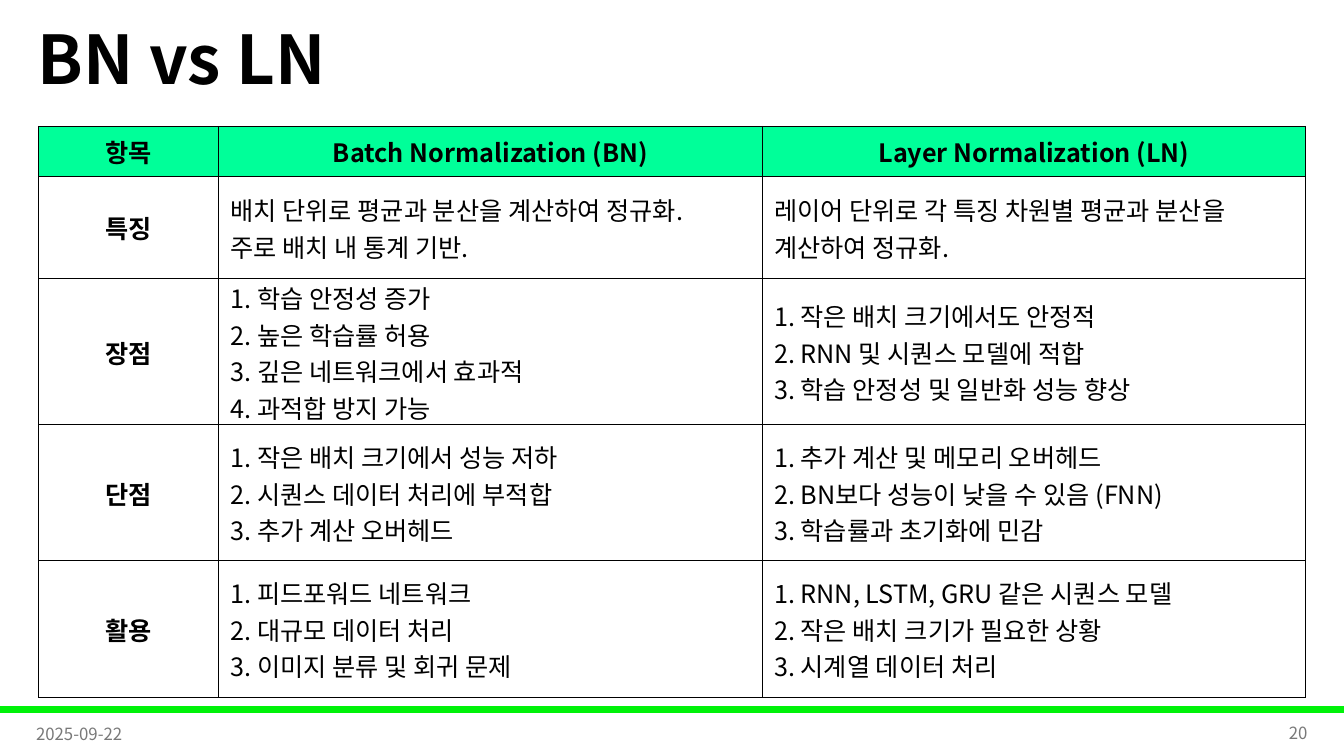
from dataclasses import dataclass

from lxml.etree import SubElement
from pptx import Presentation
from pptx.dml.color import RGBColor
from pptx.enum.shapes import MSO_SHAPE
from pptx.enum.text import MSO_ANCHOR, MSO_AUTO_SIZE, PP_ALIGN
from pptx.oxml.ns import qn
from pptx.slide import Slide
from pptx.table import _Cell
from pptx.text.text import TextFrame
from pptx.util import Cm, Pt

FONT = "Noto Sans CJK KR"
BLACK = "000000"
GREY = "797979"
HEADER_GREEN = "00FF99"
BAR_GREEN = "00F209"
COLUMN_WIDTHS = (4.54, 13.7, 13.69)
ROW_HEIGHTS = (1.26, 2.57, 3.69, 3.43, 3.43)


@dataclass(frozen=True)
class TextStyle:
    """Size, colour, weight, alignment and kerning threshold of a text."""
    size: float
    color: str = BLACK
    bold: bool = False
    align: PP_ALIGN = PP_ALIGN.LEFT
    kerning: int = 1200


@dataclass(frozen=True)
class FooterText:
    """A footer text with its place in centimetres."""
    text: str
    left: float
    top: float
    align: PP_ALIGN


@dataclass(frozen=True)
class ComparisonRow:
    """One table row; each tuple holds the lines of a cell."""
    item: str
    batch: tuple[str, ...]
    layer: tuple[str, ...]


TITLE_STYLE = TextStyle(48, bold=True)
HEADING_STYLE = TextStyle(18, bold=True, align=PP_ALIGN.CENTER, kerning=0)
BODY_STYLE = TextStyle(18, kerning=0)

FOOTERS = (
    FooterText("2025-09-22", 0.66, 17.98, PP_ALIGN.LEFT),
    FooterText("20", 25.58, 17.96, PP_ALIGN.RIGHT),
)

ROWS = (
    ComparisonRow("항목", ("Batch Normalization (BN)",), ("Layer Normalization (LN)",)),
    ComparisonRow(
        "특징",
        ("배치 단위로 평균과 분산을 계산하여 정규화.", "주로 배치 내 통계 기반."),
        ("레이어 단위로 각 특징 차원별 평균과 분산을 계산하여 정규화.",),
    ),
    ComparisonRow(
        "장점",
        ("1. 학습 안정성 증가", "2. 높은 학습률 허용",
         "3. 깊은 네트워크에서 효과적", "4. 과적합 방지 가능"),
        ("1. 작은 배치 크기에서도 안정적", "2. RNN 및 시퀀스 모델에 적합",
         "3. 학습 안정성 및 일반화 성능 향상"),
    ),
    ComparisonRow(
        "단점",
        ("1. 작은 배치 크기에서 성능 저하", "2. 시퀀스 데이터 처리에 부적합",
         "3. 추가 계산 오버헤드"),
        ("1. 추가 계산 및 메모리 오버헤드", "2. BN보다 성능이 낮을 수 있음 (FNN)",
         "3. 학습률과 초기화에 민감"),
    ),
    ComparisonRow(
        "활용",
        ("1. 피드포워드 네트워크", "2. 대규모 데이터 처리", "3. 이미지 분류 및 회귀 문제"),
        ("1. RNN, LSTM, GRU 같은 시퀀스 모델", "2. 작은 배치 크기가 필요한 상황",
         "3. 시계열 데이터 처리"),
    ),
)


def rgb(color: str) -> RGBColor:
    """Turn a hex string into a colour."""
    return RGBColor.from_string(color)


def write_lines(frame: TextFrame, lines: tuple[str, ...], style: TextStyle) -> None:
    """Write lines into the first paragraph, parted by line breaks."""
    frame.word_wrap = True
    paragraph = frame.paragraphs[0]
    paragraph.alignment = style.align
    for index, line in enumerate(lines):
        if index:
            paragraph.add_line_break()
        run = paragraph.add_run()
        run.text = line
        run.font.name = FONT
        run.font.size = Pt(style.size)
        run.font.bold = style.bold
        run.font.color.rgb = rgb(style.color)
        run.font._element.set("kern", str(style.kerning))
        SubElement(run.font._element, qn("a:ea"), typeface=FONT)


def add_borders(cell: _Cell) -> None:
    """Draw a thin black line on each side of a cell."""
    properties = cell._tc.get_or_add_tcPr()
    for side in ("lnL", "lnR", "lnT", "lnB"):
        line = SubElement(properties, qn(f"a:{side}"), w=str(Pt(0.5)))
        fill = SubElement(line, qn("a:solidFill"))
        SubElement(fill, qn("a:srgbClr"), val=BLACK)


def format_cell(cell: _Cell, lines: tuple[str, ...], style: TextStyle, is_header: bool) -> None:
    """Fill one table cell with text, borders and background."""
    cell.vertical_anchor = MSO_ANCHOR.MIDDLE
    cell.margin_left = cell.margin_right = Cm(0.3)
    cell.margin_top = Cm(0.03)
    cell.margin_bottom = Cm(0)
    add_borders(cell)
    if is_header:
        cell.fill.solid()
        cell.fill.fore_color.rgb = rgb(HEADER_GREEN)
    else:
        cell.fill.background()
    write_lines(cell.text_frame, lines, style)


def add_bar(slide: Slide) -> None:
    """Draw the green bar above the footer."""
    bar = slide.shapes.add_shape(MSO_SHAPE.RECTANGLE, Cm(0), Cm(17.82), Cm(33.87), Cm(0.14))
    bar.shadow.inherit = False
    bar.fill.solid()
    bar.fill.fore_color.rgb = rgb(BAR_GREEN)
    bar.line.color.rgb = rgb(BAR_GREEN)
    bar.line.width = Pt(1)


def set_title(slide: Slide, text: str) -> None:
    """Place and write the slide title."""
    title = slide.shapes.title
    title.left, title.top, title.width, title.height = Cm(0.7), Cm(0), Cm(29.21), Cm(3.18)
    frame = title.text_frame
    frame.auto_size = MSO_AUTO_SIZE.NONE
    frame.vertical_anchor = MSO_ANCHOR.MIDDLE
    write_lines(frame, (text,), TITLE_STYLE)
    frame.paragraphs[0].line_spacing = 0.9


def add_footer(slide: Slide, footer: FooterText) -> None:
    """Add one grey footer text."""
    box = slide.shapes.add_textbox(Cm(footer.left), Cm(footer.top), Cm(7.62), Cm(1.02))
    box.text_frame.vertical_anchor = MSO_ANCHOR.MIDDLE
    write_lines(box.text_frame, (footer.text,), TextStyle(12, GREY, align=footer.align))


def add_comparison_table(slide: Slide) -> None:
    """Add the table that compares both normalizations."""
    frame = slide.shapes.add_table(
        len(ROWS), len(COLUMN_WIDTHS), Cm(0.97), Cm(3.18),
        Cm(sum(COLUMN_WIDTHS)), Cm(sum(ROW_HEIGHTS)),
    )
    table = frame.table
    table.first_row = table.horz_banding = False
    for column, width in zip(table.columns, COLUMN_WIDTHS):
        column.width = Cm(width)
    for row_index, (row, height) in enumerate(zip(ROWS, ROW_HEIGHTS)):
        table.rows[row_index].height = Cm(height)
        is_header = row_index == 0
        for column_index, lines in enumerate(((row.item,), row.batch, row.layer)):
            is_heading = is_header or column_index == 0
            style = HEADING_STYLE if is_heading else BODY_STYLE
            format_cell(table.cell(row_index, column_index), lines, style, is_header)


def main() -> None:
    """Build and save the slide."""
    presentation = Presentation()
    presentation.slide_width = Cm(33.87)
    presentation.slide_height = Cm(19.05)
    slide = presentation.slides.add_slide(presentation.slide_layouts[5])
    add_bar(slide)
    set_title(slide, "BN vs LN")
    for footer in FOOTERS:
        add_footer(slide, footer)
    add_comparison_table(slide)
    presentation.save("out.pptx")


if __name__ == "__main__":
    main()
